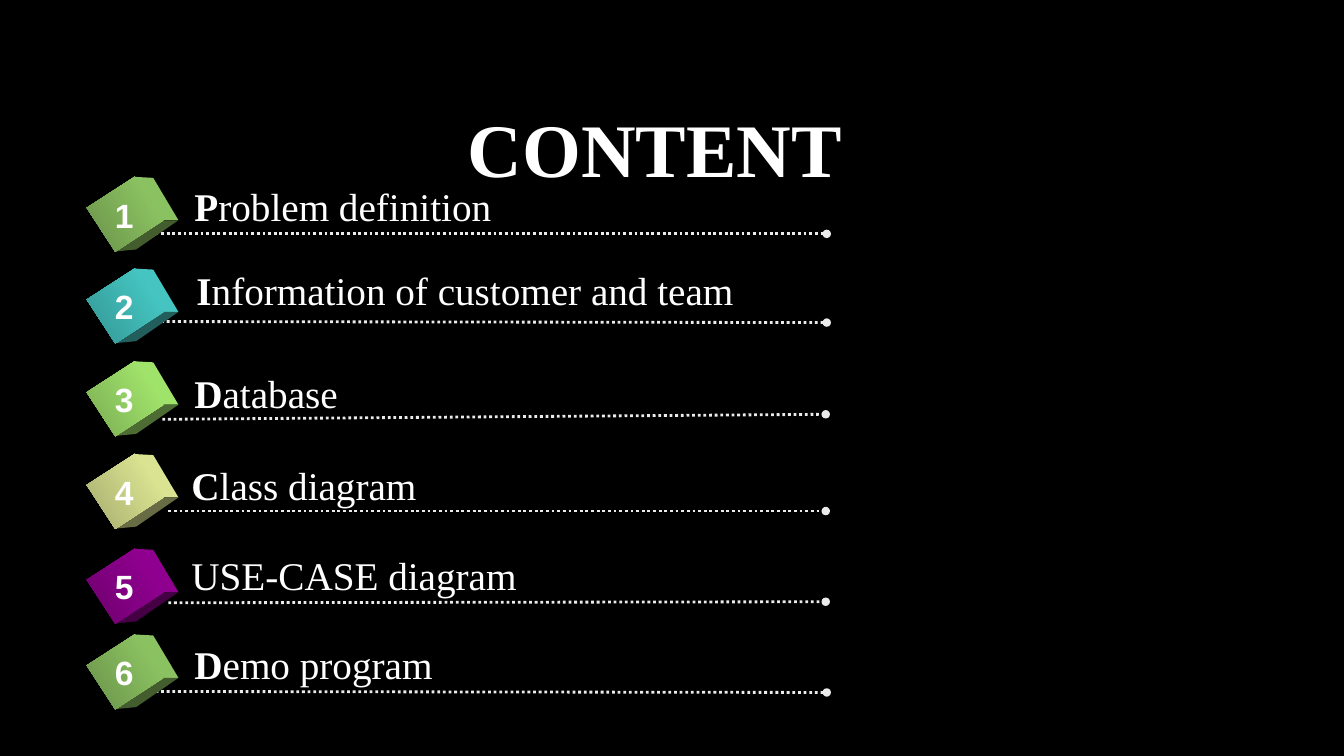
"""Build a contents slide with six numbered cubes and dotted rules."""
from lxml import etree
from pptx import Presentation
from pptx.dml.color import RGBColor
from pptx.enum.dml import MSO_LINE
from pptx.enum.shapes import MSO_CONNECTOR, MSO_SHAPE
from pptx.enum.text import MSO_ANCHOR, MSO_AUTO_SIZE, PP_ALIGN
from pptx.oxml.ns import qn
from pptx.util import Inches, Pt

LINE = MSO_CONNECTOR.STRAIGHT
RECT = MSO_SHAPE.RECTANGLE
DOTS = MSO_LINE.ROUND_DOT
MIDDLE = MSO_ANCHOR.MIDDLE
CENTER = PP_ALIGN.CENTER
LEFT = PP_ALIGN.LEFT
GROW = MSO_AUTO_SIZE.SHAPE_TO_FIT_TEXT

BLACK = RGBColor(0x00, 0x00, 0x00)
WHITE = RGBColor(0xFF, 0xFF, 0xFF)
PALE = RGBColor(0xEB, 0xEB, 0xEB)
GREEN = RGBColor(0x94, 0xCE, 0x67), RGBColor(0x6A, 0x93, 0x4A)
TEAL = RGBColor(0x49, 0xD1, 0xCD), RGBColor(0x34, 0x96, 0x93)
LIME = RGBColor(0xAA, 0xF1, 0x72), RGBColor(0x7A, 0xAC, 0x52)
SAND = RGBColor(0xE7, 0xF1, 0x9A), RGBColor(0xA5, 0xAC, 0x6E)
PURPLE = RGBColor(0x99, 0x00, 0x99), RGBColor(0x6D, 0x00, 0x6D)

SERIF = "Times New Roman"
CUBE_X, CUBE_W, CUBE_H = 0.98, 0.52, 0.57
SIDE = [(0.1, -0.37), (0.28, -0.36), (0.53, 0.06), (0.38, 0.06)]
BASE = [(-0.1, 0.37), (0.38, 0.06), (0.53, 0.06), (0.11, 0.35)]

# Cube top, colours, bold start, rest, text box, rule start and end
ITEMS = [
    (1.84, GREEN, "P", "roblem definition", (1.83, 1.76, 3.18), (1.43, 2.32), (8.2, 2.32)),
    (2.75, TEAL, "I", "nformation of customer and team", (1.85, 2.59, 6.19), (1.43, 3.19), (8.2, 3.2)),
    (3.67, LIME, "D", "atabase", (1.83, 3.61, 6.66), (1.61, 4.16), (8.19, 4.11)),
    (4.59, SAND, "C", "lass diagram", (1.8, 4.53, 5.92), (1.67, 5.07), (8.19, 5.07)),
    (5.53, PURPLE, "", "USE-CASE diagram", (1.8, 5.42, 5.92), (1.67, 5.98), (8.19, 5.97)),
    (6.38, GREEN, "D", "emo program", (1.83, 6.3, 2.59), (1.43, 6.86), (8.2, 6.87)),
]


def write(para, text, size=28, font=SERIF, bold=False, color=WHITE):
    """Add a formatted run to a paragraph."""
    run = para.add_run()
    run.text = text
    run.font.size = Pt(size)
    run.font.name = font
    run.font.bold = bold
    run.font.color.rgb = color


def add_box(slide, x, y, w, h, wrap):
    """Add a text box and return its first paragraph."""
    frame = slide.shapes.add_textbox(Inches(x), Inches(y), Inches(w), Inches(h)).text_frame
    frame.word_wrap = wrap
    frame.auto_size = GROW
    para = frame.paragraphs[0]
    para.alignment = LEFT
    return para


def add_rule(slide, start, end):
    """Add a dotted line that ends in a dot."""
    points = [Inches(v) for v in start + end]
    rule = slide.shapes.add_connector(LINE, *points)
    rule.line.color.rgb = PALE
    rule.line.width = Pt(2)
    rule.line.dash_style = DOTS
    etree.SubElement(rule.line._get_or_add_ln(), qn("a:tailEnd"), type="oval")
    etree.SubElement(rule._element.spPr, qn("a:effectLst"))


def shade(color, part):
    """Return a colour darkened to a part of its strength."""
    return RGBColor(*(round(v * part) for v in color))


def add_face(slide, x, y, points, color):
    """Add a flat cube face around a centre."""
    spots = [(Inches(x + dx), Inches(y + dy)) for dx, dy in points]
    form = slide.shapes.build_freeform(*spots[0])
    form.add_line_segments(spots[1:], close=True)
    face = form.convert_to_shape()
    face.shadow.inherit = False
    face.fill.solid()
    face.fill.fore_color.rgb = color
    face.line.fill.background()


def add_cube(slide, top, colors, label):
    """Add a tilted cube with its number."""
    x, y = CUBE_X + CUBE_W / 2, top + CUBE_H / 2
    add_face(slide, x, y, SIDE, shade(colors[0], 0.94))
    add_face(slide, x, y, BASE, shade(colors[0], 0.45))
    front = slide.shapes.add_shape(
        RECT, Inches(CUBE_X), Inches(top), Inches(CUBE_W), Inches(CUBE_H))
    front.rotation = 57
    front.shadow.inherit = False
    front.line.fill.background()
    front.fill.gradient()
    front.fill.gradient_angle = 270
    for stop, color, place in zip(front.fill.gradient_stops, colors, (0, 1)):
        stop.color.rgb = color
        stop.position = place
    write(add_box(slide, 1.04, top + 0.04, 0.39, 0.5, False), label, size=24, font="Arial", bold=True)


def add_title(slide, text):
    """Place and fill the title placeholder."""
    title = slide.shapes.title
    title.left, title.top = Inches(0.86), Inches(0.67)
    title.width, title.height = Inches(11.08), Inches(1.59)
    title.text_frame.vertical_anchor = MIDDLE
    para = title.text_frame.paragraphs[0]
    para.alignment = CENTER
    write(para, text, size=54, bold=True)


def main():
    """Build and save the slide."""
    deck = Presentation()
    deck.slide_width, deck.slide_height = Inches(13.33), Inches(7.5)
    slide = deck.slides.add_slide(deck.slide_layouts[5])
    slide.background.fill.solid()
    slide.background.fill.fore_color.rgb = BLACK
    add_title(slide, " CONTENT")
    for count, (top, colors, first, rest, (x, y, w), start, end) in enumerate(ITEMS, 1):
        add_rule(slide, start, end)
        add_cube(slide, top, colors, str(count))
        para = add_box(slide, x, y, w, 0.57, True)
        if first:
            write(para, first, bold=True)
        write(para, rest)
    deck.save("out.pptx")


if __name__ == "__main__":
    main()
